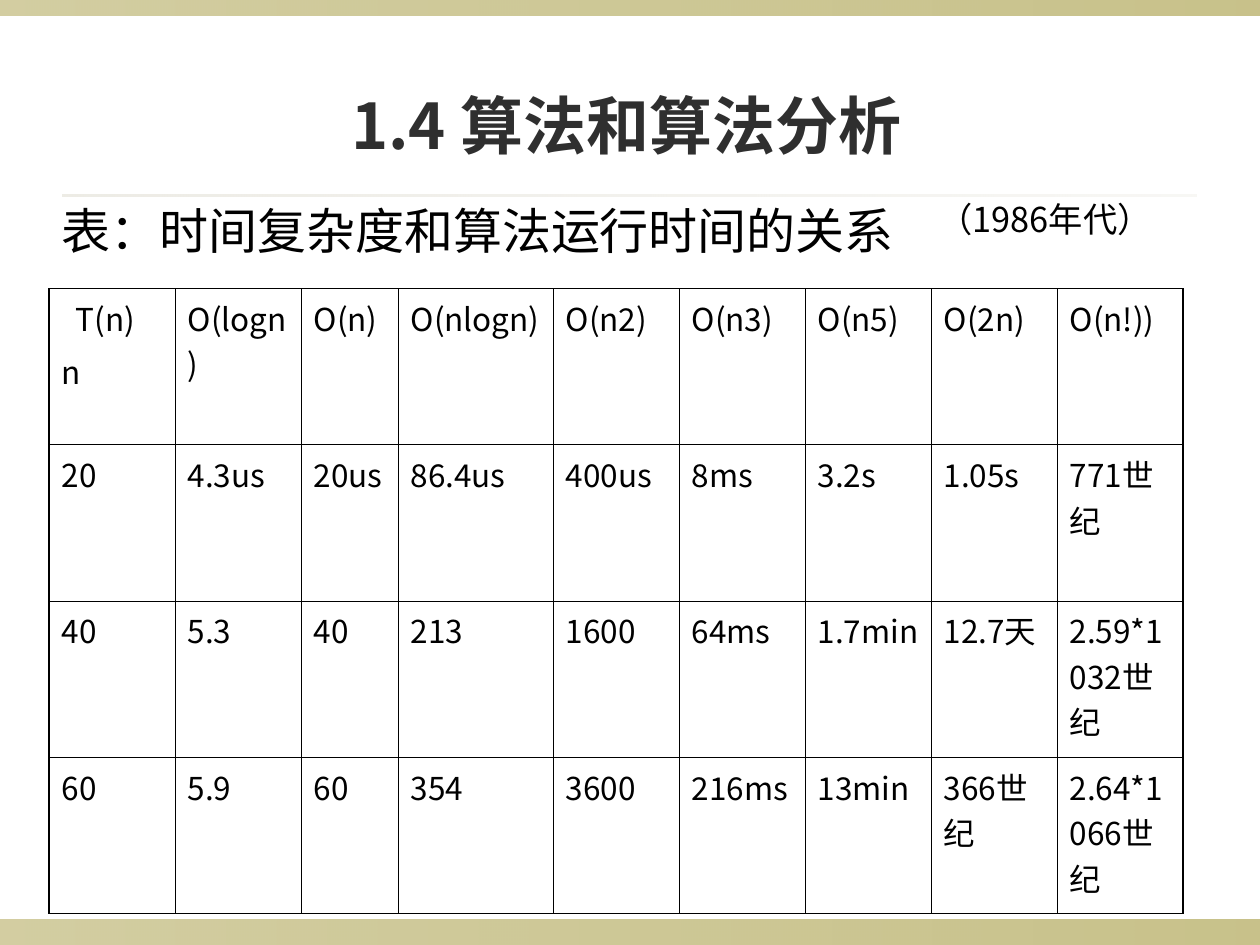
from lxml.etree import SubElement
from pptx import Presentation
from pptx.dml.color import RGBColor
from pptx.enum.shapes import MSO_SHAPE as Shape
from pptx.enum.text import MSO_ANCHOR as Anchor, PP_ALIGN as Align
from pptx.oxml.ns import qn
from pptx.util import Inches, Pt

FONT = "Noto Sans CJK SC"
HEADS = ["O(logn)", "O(n)", "O(nlogn)", "O(n2)", "O(n3)", "O(n5)", "O(2n)", "O(n!))"]
RUNTIMES = [
    ["20", "4.3us", "20us", "86.4us", "400us", "8ms", "3.2s", "1.05s", "771世纪"],
    ["40", "5.3", "40", "213", "1600", "64ms", "1.7min", "12.7天", "2.59*1032世纪"],
    ["60", "5.9", "60", "354", "3600", "216ms", "13min", "366世纪", "2.64*1066世纪"],
]
COLS = [1, 1, 0.77, 1.23, 1, 1, 1, 1, 1]
ROWS = [0.81] + [1.24] * 4
THIN, THICK = 0.45, 1.08


def rgb(value):
    return RGBColor.from_string(value)


def inches(box):
    return [Inches(v) for v in box]


def write(p, text, size, color="000000", bold=False, **para):
    r = p.add_run()
    r.text = text
    for name, value in para.items():
        setattr(p, name, value)
    for name, value in {"size": Pt(size), "bold": bold, "name": FONT}.items():
        setattr(r.font, name, value)
    r.font.color.rgb = rgb(color)
    SubElement(r.font._element, qn("a:ea"), typeface=FONT)


def add_band(slide, box, color, alphas):
    sp = slide.shapes.add_shape(Shape.RECTANGLE, *inches(box))
    sp.shadow.inherit = False
    sp.line.fill.background()
    sp.fill.gradient()
    sp.fill.gradient_angle = 0
    for stop, alpha in zip(sp.fill.gradient_stops, alphas):
        stop.color.rgb = rgb(color)
    fills = sp._element.spPr.iter(qn("a:srgbClr"))
    for clr, alpha in zip(list(fills), alphas):
        SubElement(clr, qn("a:alpha"), val=str(alpha * 1000))


def add_title(slide, box):
    sp = slide.shapes.title
    sp.left, sp.top, sp.width, sp.height = inches(box)
    tf = sp.text_frame
    tf.vertical_anchor = Anchor.MIDDLE
    write(tf.paragraphs[0], "1.4 算法和算法分析", 36, "2F2F2F", True,
          alignment=Align.CENTER)


def set_borders(cell, widths):
    tcPr = cell._tc.get_or_add_tcPr()
    for i, (side, width) in enumerate(widths.items()):
        ln = tcPr.makeelement(qn("a:ln" + side), {"w": str(Pt(width))})
        if width:
            fill = SubElement(ln, qn("a:solidFill"))
            SubElement(fill, qn("a:srgbClr"), val="000000")
        else:
            SubElement(ln, qn("a:noFill"))
        tcPr.insert(i, ln)


def add_runtime_table(slide, box):
    n_rows, n_cols = len(ROWS), len(COLS)
    table = slide.shapes.add_table(n_rows, n_cols, *inches(box)).table
    table.first_row = table.horz_banding = False
    for col, width in zip(table.columns, COLS):
        col.width = Inches(width)
    for row, height in zip(table.rows, ROWS):
        row.height = Inches(height)
    for i in range(n_rows):
        for j in range(n_cols):
            cell = table.cell(i, j)
            cell.fill.background()
            set_borders(cell, {
                "L": 0 if i == 0 else THICK if j == 0 else THIN,
                "R": 0 if i == 0 else THICK if j == n_cols - 1 else THIN,
                "T": 0 if i == 0 else THIN,
                "B": THICK if i == n_rows - 1 else THIN,
            })

    caption = table.cell(0, 0)
    caption.merge(table.cell(0, n_cols - 1))
    write(caption.text_frame.paragraphs[0], "表：时间复杂度和算法运行时间的关系", 28)

    for i, texts in enumerate([["T(n)"] + HEADS] + RUNTIMES, 1):
        for j, text in enumerate(texts):
            write(table.cell(i, j).text_frame.paragraphs[0], text, 18)
    corner = table.cell(1, 0).text_frame
    corner.paragraphs[0]._p.get_or_add_pPr().set("indent", str(Inches(0.11)))
    write(corner.add_paragraph(), "n", 18, space_before=Pt(4.5))


def add_era_note(slide, box):
    tf = slide.shapes.add_textbox(*inches(box)).text_frame
    tf.word_wrap = True
    tf.vertical_anchor = Anchor.MIDDLE
    write(tf.paragraphs[0], "（1986年代）", 19.6,
          alignment=Align.CENTER, line_spacing=0.8)


def main():
    prs = Presentation()
    prs.slide_width, prs.slide_height = Inches(10), Inches(7.5)
    slide = prs.slides.add_slide(prs.slide_layouts[5])
    add_band(slide, (0, 7.3, 10, 0.2), "918415", (40, 50))
    add_band(slide, (0, 0, 10, 0.12), "918415", (40, 50))
    add_band(slide, (0.5, 1.54, 9, 0.02), "DCD9CC", (50, 20))
    add_title(slide, (0.47, 0.7, 9, 0.58))
    add_runtime_table(slide, (0.39, 1.48, sum(COLS), sum(ROWS)))
    add_era_note(slide, (7.2, 1.48, 2.19, 0.58))
    prs.save("out.pptx")


if __name__ == "__main__":
    main()
